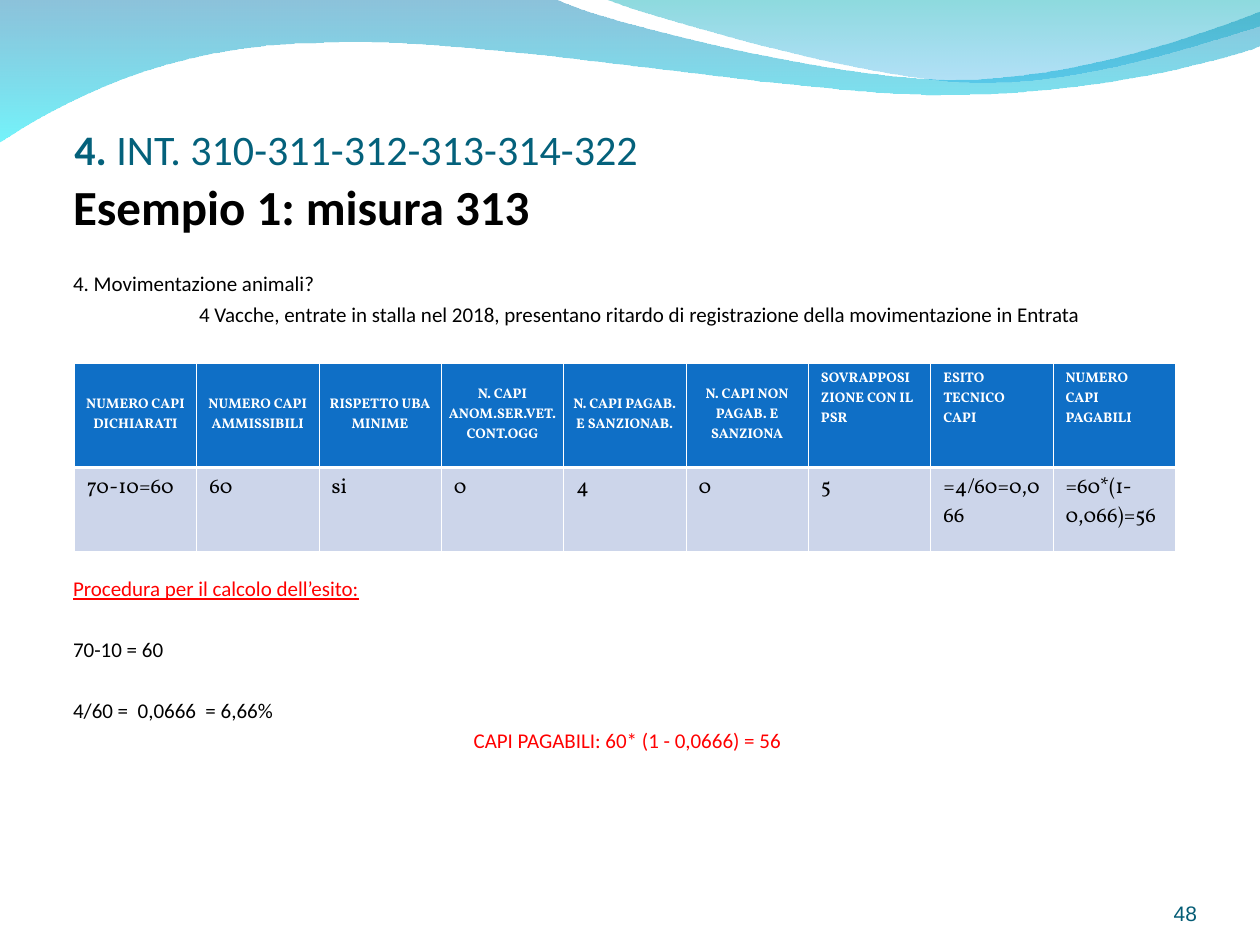
from lxml.etree import SubElement
from pptx import Presentation
from pptx.dml.color import RGBColor
from pptx.enum.text import MSO_ANCHOR, MSO_AUTO_SIZE, PP_ALIGN
from pptx.oxml.ns import qn
from pptx.util import Inches, Pt

BLACK = RGBColor(0, 0, 0)
WHITE = RGBColor(0xFF, 0xFF, 0xFF)
RED = RGBColor(0xFF, 0, 0)
TITLE_TEAL = RGBColor(0x04, 0x61, 0x7B)
NUMBER_TEAL = RGBColor(0x04, 0x5C, 0x75)
HEADER_BLUE = RGBColor(0x0F, 0x6F, 0xC6)
ROW_BLUE = RGBColor(0xCC, 0xD5, 0xEA)

# Each wave: start point, segments (one point a line, three a curve), gradient
# stops (colour, opacity in percent). Points are inches from the band's corner.
WAVES = [
    ((0, -0.01),
     [[(4.4, -0.01)],
      [(4.76, 0.17), (6.64, 0.63), (7.58, 0.63)],
      [(8.53, 0.63), (9.58, 0.26), (10, 0.09)],
      [(10.01, 0.36)],
      [(9.83, 0.44), (8.7, 0.76), (7.46, 0.75)],
      [(6.22, 0.75), (3.82, 0.28), (2.57, 0.34)],
      [(1.29, 0.35), (0.46, 0.83), (-0.01, 1.13)]],
     [(RGBColor(0x00, 0x79, 0xAF), 45), (RGBColor(0x00, 0xEB, 0xF8), 55)]),
    ((4.79, -0.01),
     [[(5.09, 0.11), (6.82, 0.62), (7.69, 0.65)],
      [(8.56, 0.69), (9.61, 0.32), (10, 0.21)],
      [(10, 0)]],
     [(RGBColor(0x00, 0xAD, 0xB6), 45), (RGBColor(0x00, 0x9B, 0xE5), 30)]),
]

HEADERS = ["NUMERO CAPI DICHIARATI", "NUMERO CAPI AMMISSIBILI",
           "RISPETTO UBA MINIME", "N. CAPI ANOM.SER.VET.CONT.OGG",
           "N. CAPI PAGAB. E SANZIONAB.", "N. CAPI NON PAGAB. E SANZIONA",
           "SOVRAPPOSIZIONE CON IL PSR", "ESITO TECNICO CAPI",
           "NUMERO CAPI PAGABILI"]
VALUES = ["70-10=60", "60", "si", "0", "4", "0", "5", "=4/60=0,066",
          "=60*(1-0,066)=56"]
CENTRED_HEADERS = 6

LINE_GAP = 3
LINE_PITCH = 17.4
BLANK_GAP = LINE_GAP + LINE_PITCH
TABLE_GAP = LINE_GAP + 8 * LINE_PITCH

# Text, size, colour, bold, alignment, gap before, indent
BODY_LINES = [
    ("Esempio 1: misura 313", 28, BLACK, True, PP_ALIGN.JUSTIFY, 0, 0),
    ("4. Movimentazione animali?", 12, BLACK, False, PP_ALIGN.JUSTIFY, BLANK_GAP, 0),
    ("4 Vacche, entrate in stalla nel 2018, presentano ritardo di registrazione "
     "della movimentazione in Entrata", 12, BLACK, False, PP_ALIGN.JUSTIFY, LINE_GAP, Inches(1)),
    ("Procedura per il calcolo dell’esito:", 12, RED, False, PP_ALIGN.JUSTIFY, TABLE_GAP, 0),
    ("70-10 = 60", 12, BLACK, False, PP_ALIGN.JUSTIFY, BLANK_GAP, 0),
    ("4/60 =  0,0666  = 6,66%", 12, BLACK, False, PP_ALIGN.JUSTIFY, BLANK_GAP, 0),
    ("CAPI PAGABILI: 60* (1 - 0,0666) = 56", 12, RED, False, PP_ALIGN.CENTER, LINE_GAP, 0),
]
PROCEDURE_LINE = 3


def style(run, size, color, bold=False, name="Calibri"):
    run.font.size = Pt(size)
    run.font.name = name
    run.font.bold = bold
    run.font.color.rgb = color


def place(shape, box):
    shape.left, shape.top, shape.width, shape.height = box


def bend_curves(wave, segments):
    """Merge the three lines of each curved segment into one cubic curve."""
    lines = iter(list(wave.element.iter(qn("a:lnTo"))))
    for segment in segments:
        parts = [next(lines) for _ in segment]
        if len(parts) == 3:
            curve = SubElement(parts[0].getparent(), qn("a:cubicBezTo"))
            parts[0].addprevious(curve)
            for part in parts:
                curve.append(part[0])
                part.getparent().remove(part)


def add_waves(slide, left, top):
    for order, (start, segments, stops) in enumerate(WAVES):
        points = [(left + Inches(x), top + Inches(y))
                  for x, y in [start] + sum(segments, [])]
        builder = slide.shapes.build_freeform(*points[0])
        builder.add_line_segments(points[1:], close=True)
        wave = builder.convert_to_shape()
        bend_curves(wave, segments)
        wave.shadow.inherit = False
        wave.line.fill.background()
        wave.fill.gradient()
        wave.fill.gradient_angle = 270
        for position, (stop, (color, _)) in enumerate(zip(wave.fill.gradient_stops, stops)):
            stop.position = position
            stop.color.rgb = color
        for element, (_, opacity) in zip(wave.element.spPr.iter(qn("a:srgbClr")), stops):
            SubElement(element, qn("a:alpha"), val=str(opacity * 1000))
        # The first two children of the tree are its properties.
        wave.element.getparent().insert(2 + order, wave.element)


def fill_title(title, box):
    place(title, box)
    frame = title.text_frame
    frame.auto_size = MSO_AUTO_SIZE.NONE
    frame.vertical_anchor = MSO_ANCHOR.BOTTOM
    frame.margin_left = frame.margin_right = frame.margin_bottom = 0
    paragraph = frame.paragraphs[0]
    paragraph.alignment = PP_ALIGN.LEFT
    for text, bold in [("4. ", True), ("INT. 310-311-312-313-314-322", False)]:
        run = paragraph.add_run()
        run.text = text
        style(run, 24, TITLE_TEAL, bold)


def fill_body(body, box):
    place(body, box)
    frame = body.text_frame
    frame.auto_size = MSO_AUTO_SIZE.NONE
    frame.text = "\n".join(line[0] for line in BODY_LINES)
    for paragraph, line in zip(frame.paragraphs, BODY_LINES):
        _, size, color, bold, alignment, gap, indent = line
        properties = paragraph._p.get_or_add_pPr()
        properties.set("marL", str(indent))
        properties.set("indent", "0")
        SubElement(properties, qn("a:buNone"))
        paragraph.alignment = alignment
        paragraph.space_before = Pt(gap)
        style(paragraph.runs[0], size, color, bold)
    frame.paragraphs[PROCEDURE_LINE].runs[0].font.underline = True


def set_borders(cell, top_width, bottom_width):
    properties = cell._tc.get_or_add_tcPr()
    widths = {"a:lnL": 0.45, "a:lnR": 0.45, "a:lnT": top_width, "a:lnB": bottom_width}
    for index, (tag, width) in enumerate(widths.items()):
        line = SubElement(properties, qn(tag), w=str(Pt(width)))
        fill = SubElement(line, qn("a:solidFill"))
        SubElement(fill, qn("a:srgbClr"), val=str(WHITE))
        properties.insert(index, line)


def add_animal_table(slide, left, top, width):
    heights = [Inches(0.83), Inches(0.67)]
    table = slide.shapes.add_table(2, len(HEADERS), left, top, width, sum(heights)).table
    for row, height in zip(table.rows, heights):
        row.height = height
    rows = [(HEADERS, HEADER_BLUE, WHITE, 8, True, (0.45, 1.47)),
            (VALUES, ROW_BLUE, BLACK, 12, False, (1.47, 0.45))]
    for row_index, (texts, fill, color, size, bold, borders) in enumerate(rows):
        for column, text in enumerate(texts):
            cell = table.cell(row_index, column)
            cell.text = text
            cell.fill.solid()
            cell.fill.fore_color.rgb = fill
            paragraph = cell.text_frame.paragraphs[0]
            style(paragraph.runs[0], size, color, bold, "Vollkorn")
            if row_index == 0 and column < CENTRED_HEADERS:
                cell.vertical_anchor = MSO_ANCHOR.MIDDLE
                cell.margin_left = cell.margin_right = Inches(0.04)
                paragraph.alignment = PP_ALIGN.CENTER
            set_borders(cell, *borders)


def add_slide_number(slide, box):
    frame = slide.shapes.add_textbox(*box).text_frame
    frame.word_wrap = True
    frame.vertical_anchor = MSO_ANCHOR.BOTTOM
    frame.margin_left = frame.margin_right = frame.margin_top = frame.margin_bottom = 0
    paragraph = frame.paragraphs[0]
    paragraph.text = "48"
    paragraph.alignment = PP_ALIGN.RIGHT
    paragraph.line_spacing = 0.93
    style(paragraph.runs[0], 12, NUMBER_TEAL, name="Arial")


def main():
    presentation = Presentation()
    presentation.slide_width, presentation.slide_height = Inches(10), Inches(7.5)
    slide = presentation.slides.add_slide(presentation.slide_layouts[1])
    title, body = slide.placeholders
    add_waves(slide, 0, 0)
    fill_title(title, (Inches(0.59), Inches(0.13), Inches(9.6), Inches(1.25)))
    fill_body(body, (Inches(0.48), Inches(1.35), Inches(9), Inches(4.8)))
    add_slide_number(slide, (Inches(8.67), Inches(6.95), Inches(0.83), Inches(0.4)))
    add_animal_table(slide, Inches(0.59), Inches(2.88), Inches(8.74))
    presentation.save("out.pptx")


if __name__ == "__main__":
    main()
